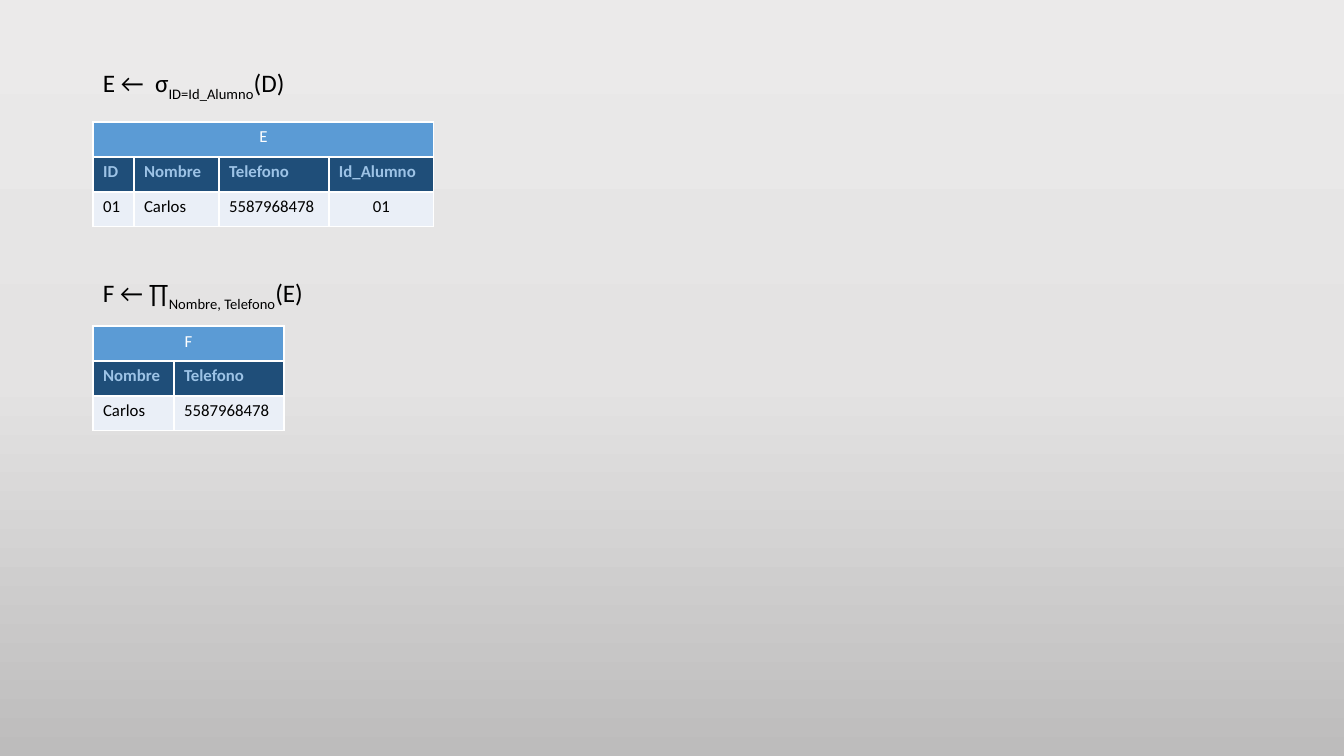
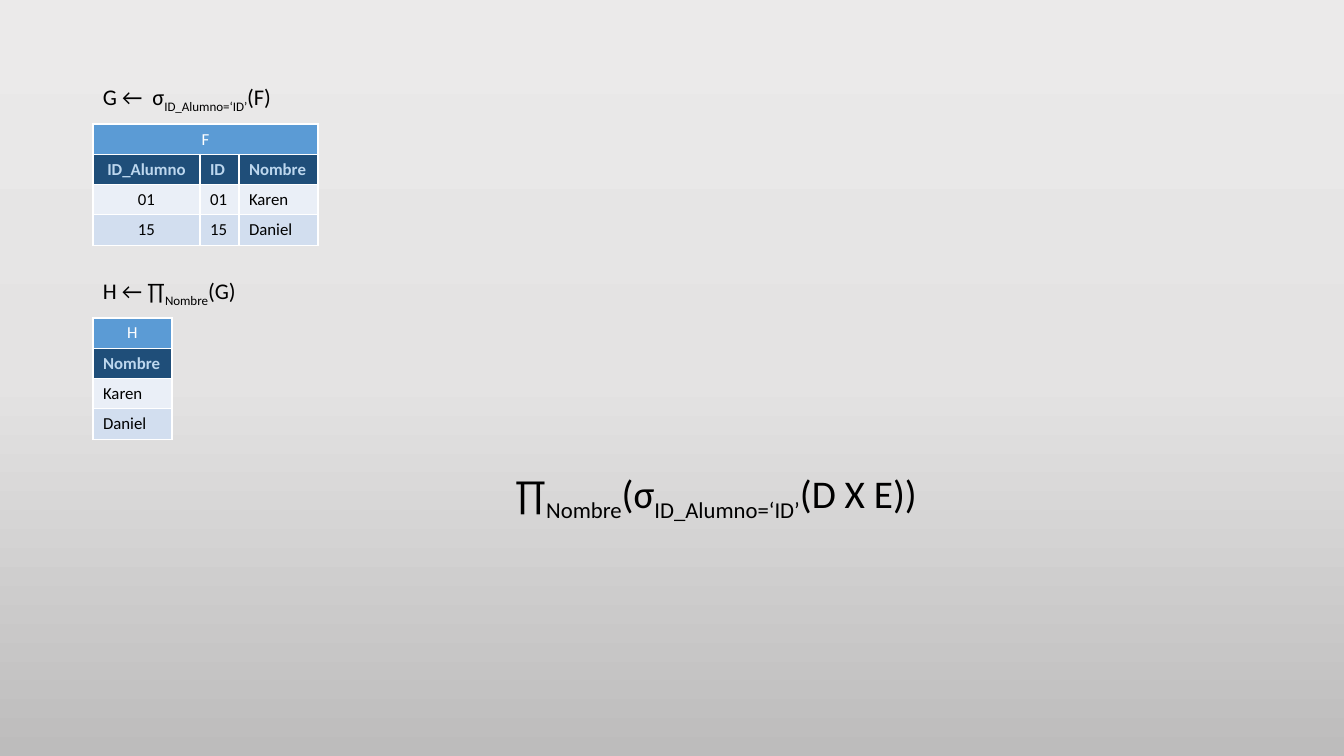
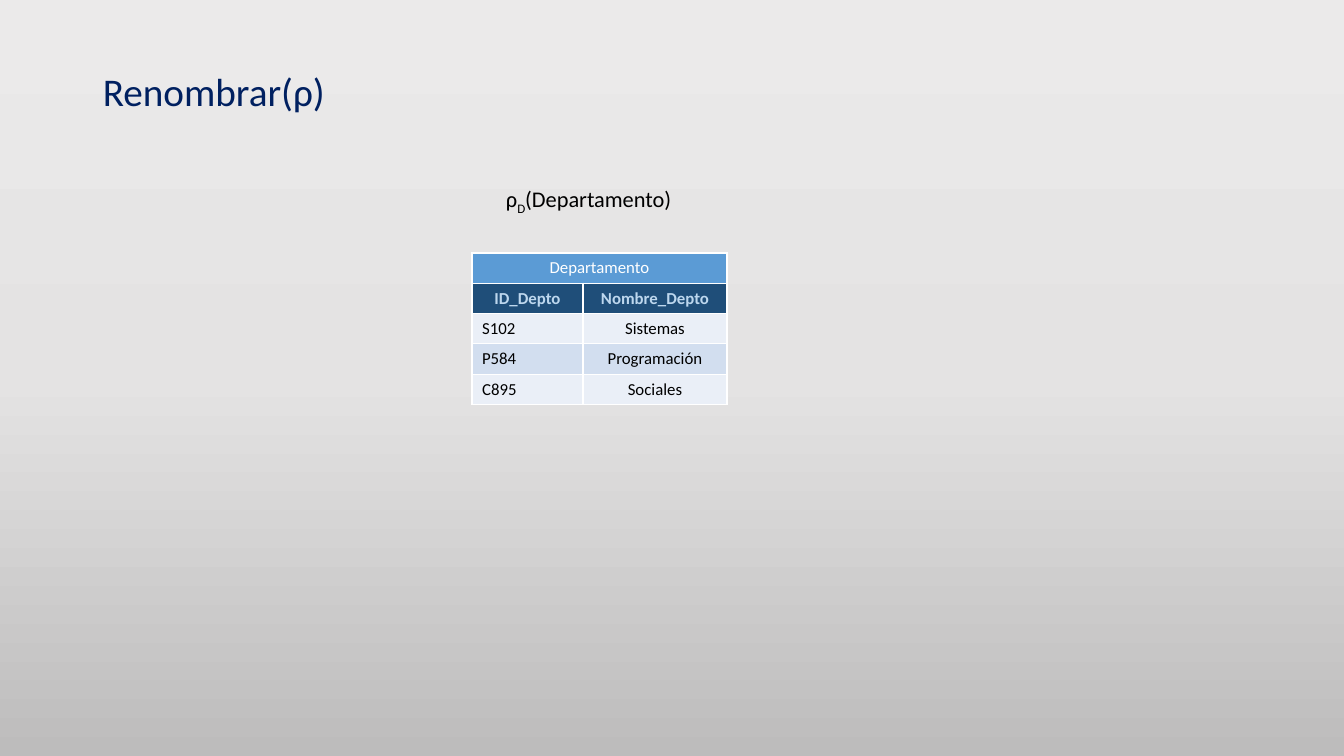
from copy import deepcopy
from dataclasses import dataclass

from pptx import Presentation
from pptx.dml.color import RGBColor
from pptx.enum.text import PP_ALIGN
from pptx.oxml import parse_xml
from pptx.oxml.ns import nsdecls
from pptx.util import Emu, Pt

FONT = "Calibri"
BLACK, WHITE, NAVY = "000000", "FFFFFF", "002060"
CAPTION_FILL, HEADER_FILL = "5B9BD5", "1F4E79"
ROW_FILLS = ("EAEFF7", "D2DEEF")
BRIGHT_HEADER, PALE_HEADER = "9DC3E6", "BDD7EE"
BACKGROUND_STOPS = ((0, "EBEAEA"), (0.5, "E4E3E3"), (1, "BDBCBC"))
LEFT, CENTER = PP_ALIGN.LEFT, PP_ALIGN.CENTER
MARGIN = 93


@dataclass
class Column:
    name: str
    width: int
    header_align: PP_ALIGN = LEFT
    body_align: PP_ALIGN = LEFT


def px(length):
    """Convert pixels, 100.8 to the inch, into EMU."""
    return Emu(round(length * 914400 / 100.8))


def color(value):
    return RGBColor.from_string(value)


def set_background(master):
    fill = master.background.fill
    fill.gradient()
    fill.gradient_angle = 270
    stop_list = fill.gradient_stops[0]._gs.getparent()
    stop_list.insert(1, deepcopy(stop_list[0]))
    for stop, (position, value) in zip(fill.gradient_stops, BACKGROUND_STOPS):
        stop.position = position
        stop.color.rgb = color(value)


def add_run(paragraph, text, size, value, bold=False, subscript=False):
    run = paragraph.add_run()
    run.text = text
    font = run.font
    font.name, font.size, font.bold = FONT, Pt(size), bold
    font.color.rgb = color(value)
    if subscript:
        run._r.get_or_add_rPr().set("baseline", "-25000")


def add_expression(slide, left, top, width, size, parts, value=BLACK):
    """Write one line in which every second part is a subscript."""
    box = slide.shapes.add_textbox(px(left), px(top), px(width), px(2 * size + 10))
    box.text_frame.word_wrap = True
    paragraph = box.text_frame.paragraphs[0]
    paragraph.line_spacing = 0.9
    for index, part in enumerate(parts):
        add_run(paragraph, part, size, value, subscript=index % 2 == 1)


def set_borders(cell):
    properties = cell._tc.get_or_add_tcPr()
    for index, side in enumerate(("lnL", "lnR", "lnT", "lnB")):
        properties.insert(index, parse_xml(
            f'<a:{side} {nsdecls("a")} w="12700"><a:solidFill>'
            f'<a:srgbClr val="{WHITE}"/></a:solidFill></a:{side}>'))


def fill_cell(cell, text, fill, value, align, bold=False):
    cell.fill.solid()
    cell.fill.fore_color.rgb = color(fill)
    paragraph = cell.text_frame.paragraphs[0]
    paragraph.alignment = align
    add_run(paragraph, text, 12, value, bold)


def add_relation(slide, left, top, row_height, caption, columns, rows, header_color):
    """Draw a relation: merged caption, attribute names, then banded tuples."""
    row_count = len(rows) + 2
    table = slide.shapes.add_table(
        row_count, len(columns), px(left), px(top),
        px(sum(column.width for column in columns)), px(row_height * row_count)).table
    table.first_row = table.horz_banding = False
    for row in table.rows:
        row.height = px(row_height)
    for cell in table.iter_cells():
        set_borders(cell)

    if len(columns) > 1:
        table.cell(0, 0).merge(table.cell(0, len(columns) - 1))
    fill_cell(table.cell(0, 0), caption, CAPTION_FILL, WHITE, CENTER)
    for index, column in enumerate(columns):
        table.columns[index].width = px(column.width)
        fill_cell(table.cell(1, index), column.name, HEADER_FILL, header_color,
                  column.header_align, bold=True)
        for number, values in enumerate(rows):
            fill_cell(table.cell(number + 2, index), values[index],
                      ROW_FILLS[number % 2], BLACK, column.body_align)


def build_phone_query(slide):
    add_expression(slide, MARGIN, 63, 400, 18, ("E ←  σ", "ID=Id_Alumno", "(D)"))
    add_relation(slide, MARGIN, 122, 35, "E",
                 (Column("ID", 41), Column("Nombre", 85), Column("Telefono", 110),
                  Column("Id_Alumno", 105, LEFT, CENTER)),
                 (("01", "Carlos", "5587968478", "01"),), BRIGHT_HEADER)
    add_expression(slide, MARGIN, 273, 400, 18, ("F ← ∏", "Nombre, Telefono", "(E)"))
    add_relation(slide, MARGIN, 326, 35, "F",
                 (Column("Nombre", 81), Column("Telefono", 110)),
                 (("Carlos", "5587968478"),), BRIGHT_HEADER)


def build_name_query(slide):
    name_column = Column("Nombre", 79)
    add_expression(slide, MARGIN, 79, 400, 16, ("G ←  σ", "ID_Alumno=‘ID’", "(F)"))
    add_relation(slide, MARGIN, 124, 30, "F",
                 (Column("ID_Alumno", 107, CENTER, CENTER), Column("ID", 39),
                  name_column),
                 (("01", "01", "Karen"), ("15", "15", "Daniel")), PALE_HEADER)
    add_expression(slide, MARGIN, 273, 400, 16, ("H ← ∏", "Nombre", "(G)"))
    add_relation(slide, MARGIN, 318, 30, "H", (name_column,),
                 (("Karen",), ("Daniel",)), PALE_HEADER)
    add_expression(slide, 505, 465, 600, 28,
                   ("∏", "Nombre", "(σ", "ID_Alumno=‘ID’", "(D X E))"))


def build_rename(slide):
    add_expression(slide, MARGIN, 68, 1159, 28, ("Renombrar(ρ)",), NAVY)
    add_expression(slide, 496, 181, 400, 16, ("ρ", "D", "(Departamento)"))
    add_relation(slide, 472, 253, 30, "Departamento",
                 (Column("ID_Depto", 111, CENTER, LEFT),
                  Column("Nombre_Depto", 144, CENTER, CENTER)),
                 (("S102", "Sistemas"), ("P584", "Programación"), ("C895", "Sociales")),
                 PALE_HEADER)


def main():
    presentation = Presentation()
    presentation.slide_width, presentation.slide_height = px(1344), px(756)
    set_background(presentation.slide_master)
    blank_layout = presentation.slide_layouts[6]
    for build in (build_phone_query, build_name_query, build_rename):
        build(presentation.slides.add_slide(blank_layout))
    presentation.save("out.pptx")


if __name__ == "__main__":
    main()
